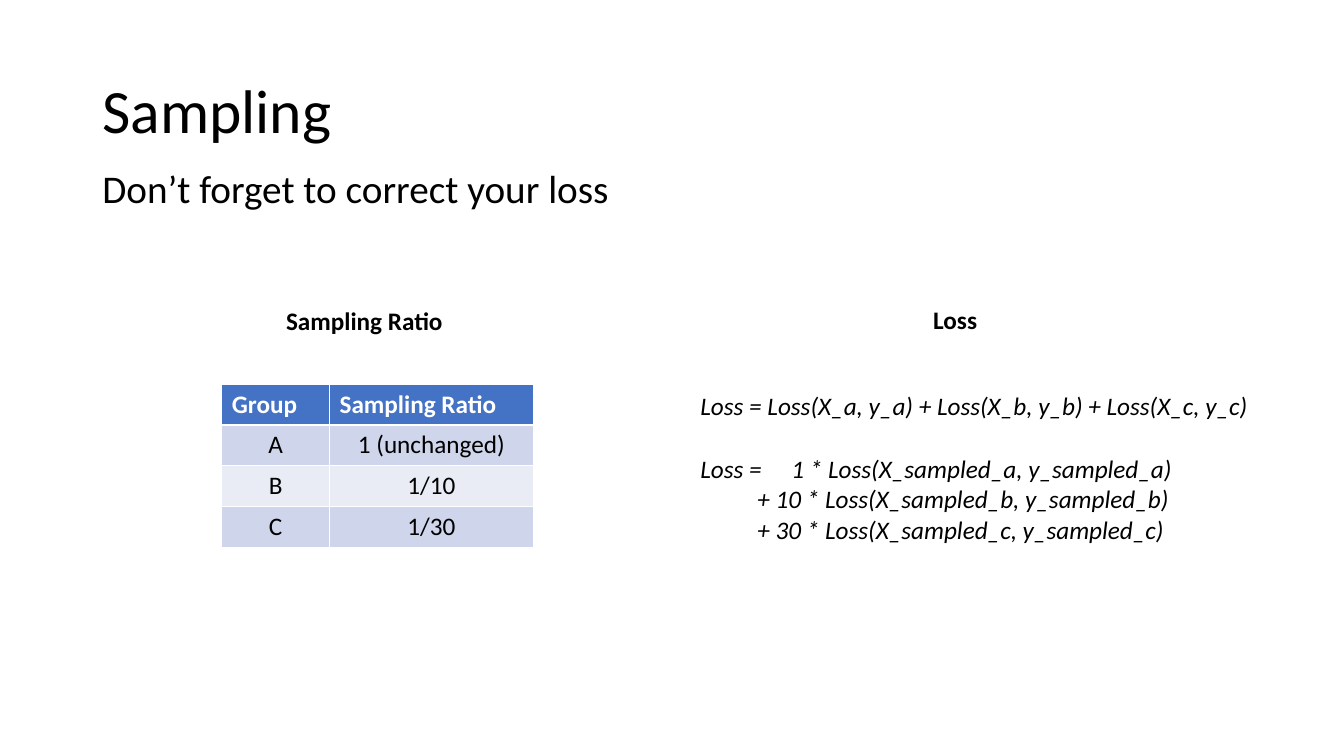
from dataclasses import dataclass

from lxml import etree
from pptx import Presentation
from pptx.dml.color import RGBColor
from pptx.enum.text import MSO_ANCHOR, MSO_AUTO_SIZE, PP_ALIGN
from pptx.oxml.ns import qn
from pptx.util import Pt

LEFT, CENTER = PP_ALIGN.LEFT, PP_ALIGN.CENTER
TOP, MIDDLE = MSO_ANCHOR.TOP, MSO_ANCHOR.MIDDLE
NO_FIT, GROW = MSO_AUTO_SIZE.NONE, MSO_AUTO_SIZE.SHAPE_TO_FIT_TEXT
TITLE_ONLY = 5


@dataclass(frozen=True)
class Theme:
    font: str = "Calibri"
    title: float = 44
    lead: float = 28
    body: float = 18
    ink: str = "000000"
    white: str = "FFFFFF"
    head: str = "4472C4"
    bands: tuple[str, str] = ("CFD5EA", "E9EBF5")


@dataclass(frozen=True)
class Line:
    text: str
    indent: float = 0
    tab: float = 0


@dataclass(frozen=True)
class Label:
    lines: tuple[Line, ...]
    left: float
    top: float
    width: float
    height: float
    bold: bool = False
    italic: bool = False


THEME = Theme()
TERM = 40.7  # where the added terms start
FACTOR = 65  # where the first factor starts

LABELS = (
    Label((Line("Sampling Ratio"),), 197.3, 214.6, 127.4, 28.8, bold=True),
    Label((Line("Loss"),), 659.5, 213.8, 46.1, 28.8, bold=True),
    Label((Line("Loss = Loss(X_a, y_a) + Loss(X_b, y_b) + Loss(X_c, y_c)"),),
          493.2, 275, 411.8, 28.8, italic=True),
    Label((Line("Loss =\t1 * Loss(X_sampled_a, y_sampled_a)", tab=FACTOR),
           Line("+ 10 * Loss(X_sampled_b, y_sampled_b)", indent=TERM),
           Line("+ 30 * Loss(X_sampled_c, y_sampled_c)", indent=TERM)),
          493.2, 320.4, 358.6, 72.7, italic=True),
)

RATIOS = (
    ("Group", "Sampling Ratio"),
    ("A", "1 (unchanged)"),
    ("B", "1/10"),
    ("C", "1/30"),
)
WIDTHS = (77, 145.5)
ROW = 29.2


def style(para, size: float, color: str = THEME.ink, bold: bool = False,
          italic: bool = False, align=LEFT) -> None:
    para.alignment = align
    for run in para.runs:
        font = run.font
        font.name, font.size = THEME.font, Pt(size)
        font.bold, font.italic = bold, italic
        font.color.rgb = RGBColor.from_string(color)


def place(shape, left: float, top: float, width: float, height: float) -> None:
    shape.left, shape.top = Pt(left), Pt(top)
    shape.width, shape.height = Pt(width), Pt(height)


def set_stops(para, line: Line) -> None:
    """Apply the left indent and the tab stop of a line."""
    props = para._p.get_or_add_pPr()
    if line.indent:
        props.set("marL", str(int(Pt(line.indent))))
    if line.tab:
        stops = etree.SubElement(props, qn("a:tabLst"))
        etree.SubElement(stops, qn("a:tab"), pos=str(int(Pt(line.tab))), algn="l")


def add_heads(slide) -> None:
    """Fill the title and the lead sentence below it."""
    title = slide.shapes.title
    place(title, 66, 28.8, 828, 104.4)
    title.text_frame.text = "Sampling"
    title.text_frame.vertical_anchor = MIDDLE
    lead = slide.shapes.add_textbox(Pt(66), Pt(117.4), Pt(854), Pt(409))
    lead.text_frame.text = "Don’t forget to correct your loss"
    lead.text_frame.vertical_anchor = TOP
    for shape, size in ((title, THEME.title), (lead, THEME.lead)):
        frame = shape.text_frame
        frame.word_wrap, frame.auto_size = True, NO_FIT
        para = frame.paragraphs[0]
        para.line_spacing = 0.9
        style(para, size)
    lead.text_frame.paragraphs[0].space_before = Pt(10)


def add_label(slide, label: Label) -> None:
    box = slide.shapes.add_textbox(Pt(label.left), Pt(label.top),
                                   Pt(label.width), Pt(label.height))
    frame = box.text_frame
    frame.word_wrap, frame.auto_size = False, GROW
    frame.text = "\n".join(line.text for line in label.lines)
    for para, line in zip(frame.paragraphs, label.lines):
        style(para, THEME.body, bold=label.bold, italic=label.italic)
        set_stops(para, line)


def add_ratios(slide) -> None:
    table = slide.shapes.add_table(
        len(RATIOS), len(WIDTHS), Pt(158.4), Pt(274.3),
        Pt(sum(WIDTHS)), Pt(ROW * len(RATIOS))).table
    for column, width in zip(table.columns, WIDTHS):
        column.width = Pt(width)
    for i, texts in enumerate(RATIOS):
        head = i == 0
        fill = THEME.head if head else THEME.bands[(i - 1) % 2]
        for j, text in enumerate(texts):
            cell = table.cell(i, j)
            cell.fill.solid()
            cell.fill.fore_color.rgb = RGBColor.from_string(fill)
            cell.text_frame.text = text
            style(cell.text_frame.paragraphs[0], THEME.body,
                  color=THEME.white if head else THEME.ink,
                  bold=head, align=LEFT if head else CENTER)


def main() -> None:
    deck = Presentation()
    deck.slide_width, deck.slide_height = Pt(960), Pt(540)
    slide = deck.slides.add_slide(deck.slide_layouts[TITLE_ONLY])
    add_heads(slide)
    add_ratios(slide)
    for label in LABELS:
        add_label(slide, label)
    deck.save("out.pptx")


if __name__ == "__main__":
    main()
